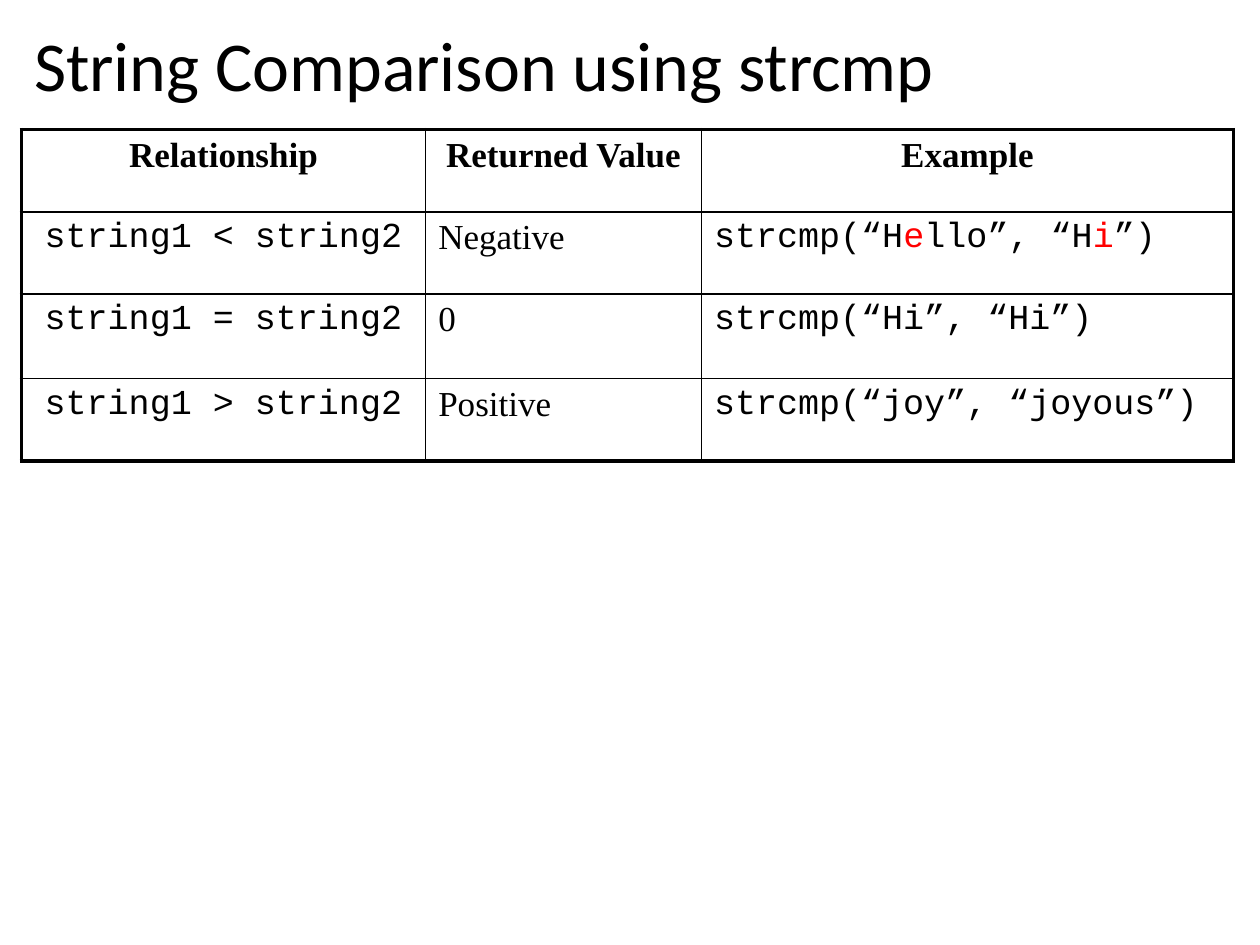
from pptx import Presentation
from pptx.dml.color import RGBColor as RGB
from pptx.enum.text import MSO_ANCHOR as ANCHOR, PP_ALIGN as ALIGN
from pptx.oxml.ns import qn
from pptx.util import Pt
from lxml.etree import SubElement

# Content: "*" sets off the characters that decide a comparison
TITLE = "String Comparison using strcmp"
ROWS = [
    ("Relationship", "Returned Value", "Example"),
    ("string1 < string2", "Negative", "strcmp(“H*e*llo”, “H*i*”)"),
    ("string1 = string2", "0", "strcmp(“Hi”, “Hi”)"),
    ("string1 > string2", "Positive", "strcmp(“joy”, “joyous”)"),
]

THEME = {
    "ink": "000000", "accent": "FF0000",
    "title_font": "Calibri", "text_font": "Times New Roman", "code_font": "Courier New",
    "title_size": 40, "text_size": 20,
    "outer_line": 2.25, "inner_line": 1,
}
LEFT, WIDTH = 12.24, 692.64
TITLE_TOP, TITLE_HEIGHT = 13, 53
TABLE_TOP = 74
COL_WIDTHS = [231, 157.6, 304]
ROW_HEIGHTS = [47, 47, 48.4, 47]


def style_run(r, font, size, color, bold=False):
    r.font.name, r.font.size, r.font.bold = font, Pt(size), bold
    r.font.color.rgb = RGB.from_string(color)


def set_borders(cell, widths):
    tc_pr = cell._tc.get_or_add_tcPr()
    for side, width in widths.items():
        ln = SubElement(tc_pr, qn(f"a:ln{side}"), w=str(Pt(width)))
        fill = SubElement(ln, qn("a:solidFill"))
        SubElement(fill, qn("a:srgbClr"), val=THEME["ink"])


def space_before(p, percent):
    spacing = SubElement(p._p.get_or_add_pPr(), qn("a:spcBef"))
    SubElement(spacing, qn("a:spcPct"), val=str(percent * 1000))


def fill_cell(cell, text, row, col):
    header = row == 0
    font = THEME["text_font" if header or col == 1 else "code_font"]
    p = cell.text_frame.paragraphs[0]
    p.alignment = ALIGN.CENTER if header or col == 0 else ALIGN.LEFT
    space_before(p, 20)
    for i, part in enumerate(text.split("*")):
        r = p.add_run()
        r.text = part
        style_run(r, font, THEME["text_size"], THEME["accent" if i % 2 else "ink"], header)

    # Heavy frame, thin grid; borders go before the fill in the cell's XML
    edges = {"L": col == 0, "R": col == len(COL_WIDTHS) - 1,
             "T": header, "B": row == len(ROWS) - 1}
    set_borders(cell, {side: THEME["outer_line" if outer else "inner_line"]
                       for side, outer in edges.items()})
    cell.fill.background()


prs = Presentation()
prs.slide_width, prs.slide_height = Pt(720), Pt(540)
slide = prs.slides.add_slide(prs.slide_layouts[5])

# Title
title = slide.shapes.title
title.left, title.top = Pt(LEFT), Pt(TITLE_TOP)
title.width, title.height = Pt(WIDTH), Pt(TITLE_HEIGHT)
tf = title.text_frame
tf.text = TITLE
tf.vertical_anchor = ANCHOR.MIDDLE
p = tf.paragraphs[0]
p.alignment, p.line_spacing = ALIGN.LEFT, 0.9
style_run(p.runs[0], THEME["title_font"], THEME["title_size"], THEME["ink"])

# Comparison table
table = slide.shapes.add_table(
    len(ROWS), len(COL_WIDTHS), Pt(LEFT), Pt(TABLE_TOP),
    Pt(sum(COL_WIDTHS)), Pt(sum(ROW_HEIGHTS))).table
table.first_row = table.horz_banding = False
for column, width in zip(table.columns, COL_WIDTHS):
    column.width = Pt(width)
for row, height in zip(table.rows, ROW_HEIGHTS):
    row.height = Pt(height)
for i, texts in enumerate(ROWS):
    for j, text in enumerate(texts):
        fill_cell(table.cell(i, j), text, i, j)

prs.save("out.pptx")
